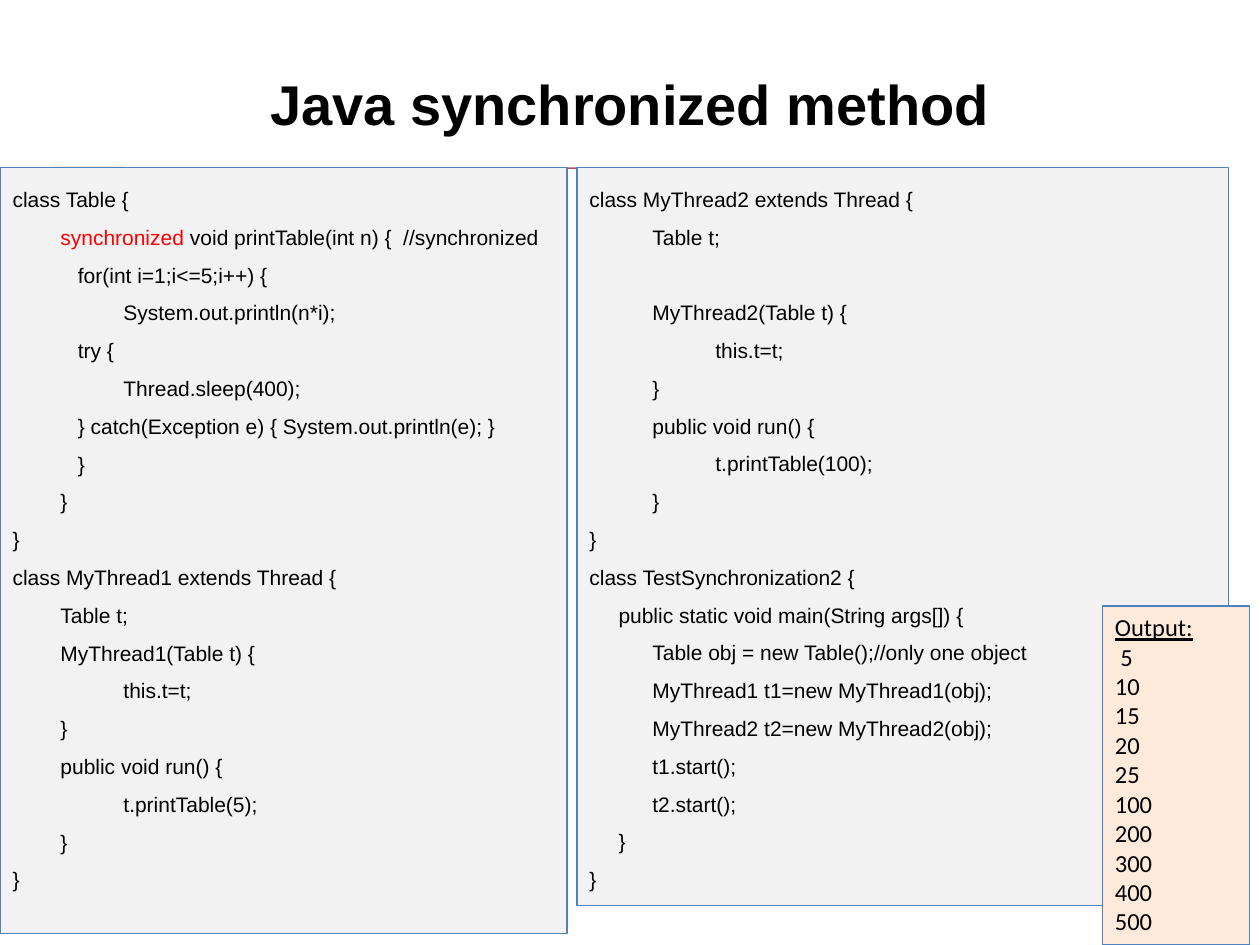
from dataclasses import dataclass

from lxml.etree import SubElement
from pptx import Presentation
from pptx.dml.color import RGBColor
from pptx.enum.shapes import MSO_CONNECTOR, MSO_SHAPE
from pptx.enum.text import MSO_ANCHOR, MSO_AUTO_SIZE, PP_ALIGN
from pptx.oxml.ns import qn
from pptx.util import Inches, Pt


@dataclass(frozen=True)
class Theme:
    ink: RGBColor = RGBColor(0, 0, 0)
    keyword: RGBColor = RGBColor(255, 0, 0)
    rule: RGBColor = RGBColor(0xC0, 0x50, 0x4D)
    border: RGBColor = RGBColor(0x4F, 0x81, 0xBD)
    code_fill: RGBColor = RGBColor(0xF2, 0xF2, 0xF2)
    output_fill: RGBColor = RGBColor(0xFD, 0xEA, 0xDA)
    code_font: str = "Arial"
    output_font: str = "Calibri"
    title_size: int = 32
    code_size: int = 12
    output_size: int = 14
    line_width: float = 0.75
    code_spacing: float = 1.5


THEME = Theme()

TABLE_CODE = """class Table {
\tsynchronized void printTable(int n) {  //synchronized
\t   for(int i=1;i<=5;i++) {
\t\tSystem.out.println(n*i);
\t   try {
\t\tThread.sleep(400);
\t   } catch(Exception e) { System.out.println(e); }
\t   }
\t}
}
class MyThread1 extends Thread {
\tTable t;
\tMyThread1(Table t) {
\t\tthis.t=t;
\t}
\tpublic void run() {
\t\tt.printTable(5);
\t}
}"""

MAIN_CODE = """class MyThread2 extends Thread {
\tTable t;
\t
\tMyThread2(Table t) {
\t\tthis.t=t;
\t}
\tpublic void run() {
\t\tt.printTable(100);
\t}
}
class TestSynchronization2 {
     public static void main(String args[]) {
\tTable obj = new Table();//only one object
\tMyThread1 t1=new MyThread1(obj);
\tMyThread2 t2=new MyThread2(obj);
\tt1.start();
\tt2.start();
     }
}"""

OUTPUT = "Output:\n 5\n10\n15\n20\n25\n100\n200\n300\n400\n500"


def place(box, left, top, width, height):
    box.left, box.top = Inches(left), Inches(top)
    box.width, box.height = Inches(width), Inches(height)


def style_span(span, font, size, color=THEME.ink):
    span.font.name = font
    span.font.size = Pt(size)
    span.font.color.rgb = color


def add_rule(page, start, end):
    rule = page.shapes.add_connector(
        MSO_CONNECTOR.STRAIGHT, *(Inches(value) for value in start + end))
    rule.line.color.rgb = THEME.rule
    rule.line.width = Pt(THEME.line_width)
    SubElement(rule._element.spPr, qn("a:effectLst"))
    page.shapes._spTree.insert(2, rule._element)


def fill_title(box, text):
    place(box, 0.5, 0.3, 9, 1.03)
    frame = box.text_frame
    frame.text = text
    frame.vertical_anchor = MSO_ANCHOR.MIDDLE
    para = frame.paragraphs[0]
    para.alignment = PP_ALIGN.CENTER
    style_span(para.runs[0], THEME.code_font, THEME.title_size)
    para.runs[0].font.bold = True


def add_panel(page, left, top, width, height):
    box = page.shapes.add_shape(MSO_SHAPE.RECTANGLE, 0, 0, 0, 0)
    box.shadow.inherit = False
    place(box, left, top, width, height)
    return box


def fill_panel(box, text, fill, font, size, spacing):
    box.fill.solid()
    box.fill.fore_color.rgb = fill
    box.line.color.rgb = THEME.border
    box.line.width = Pt(THEME.line_width)
    frame = box.text_frame
    frame.word_wrap = True
    frame.auto_size = MSO_AUTO_SIZE.NONE
    frame.vertical_anchor = MSO_ANCHOR.TOP
    frame.text = text
    for para in frame.paragraphs:
        para.alignment = PP_ALIGN.LEFT
        para.line_spacing = spacing
        para.space_before = Pt(0)
        for span in para.runs:
            style_span(span, font, size)


def fill_code(box, text):
    fill_panel(box, text, THEME.code_fill, THEME.code_font,
               THEME.code_size, THEME.code_spacing)


def hang_lines(box, indent):
    for para in box.text_frame.paragraphs:
        properties = para._p.get_or_add_pPr()
        properties.set("marL", str(Inches(indent)))
        properties.set("indent", str(-Inches(indent)))
        SubElement(properties, qn("a:buNone"))


def highlight(para, word):
    before, match, after = para.text.partition(word)
    para.text = before
    style_span(para.runs[0], THEME.code_font, THEME.code_size)
    for text, color in ((match, THEME.keyword), (after, THEME.ink)):
        span = para.add_run()
        span.text = text
        style_span(span, THEME.code_font, THEME.code_size, color)


def main():
    deck = Presentation()
    deck.slide_width, deck.slide_height = Inches(10), Inches(7.5)
    page = deck.slides.add_slide(deck.slide_layouts[1])
    add_rule(page, (0.42, 1.33), (9.75, 1.34))
    fill_title(page.shapes.title, "Java synchronized method")

    table_panel = page.placeholders[1]
    place(table_panel, 0, 1.33, 4.5, 6.08)
    fill_code(table_panel, TABLE_CODE)
    hang_lines(table_panel, 0.38)
    highlight(table_panel.text_frame.paragraphs[1], "synchronized")

    fill_code(add_panel(page, 4.58, 1.33, 5.17, 5.86), MAIN_CODE)

    output_panel = add_panel(page, 8.75, 4.81, 1.17, 2.69)
    fill_panel(output_panel, OUTPUT, THEME.output_fill, THEME.output_font,
               THEME.output_size, 1.0)
    output_panel.text_frame.paragraphs[0].runs[0].font.underline = True

    deck.save("out.pptx")


if __name__ == "__main__":
    main()
